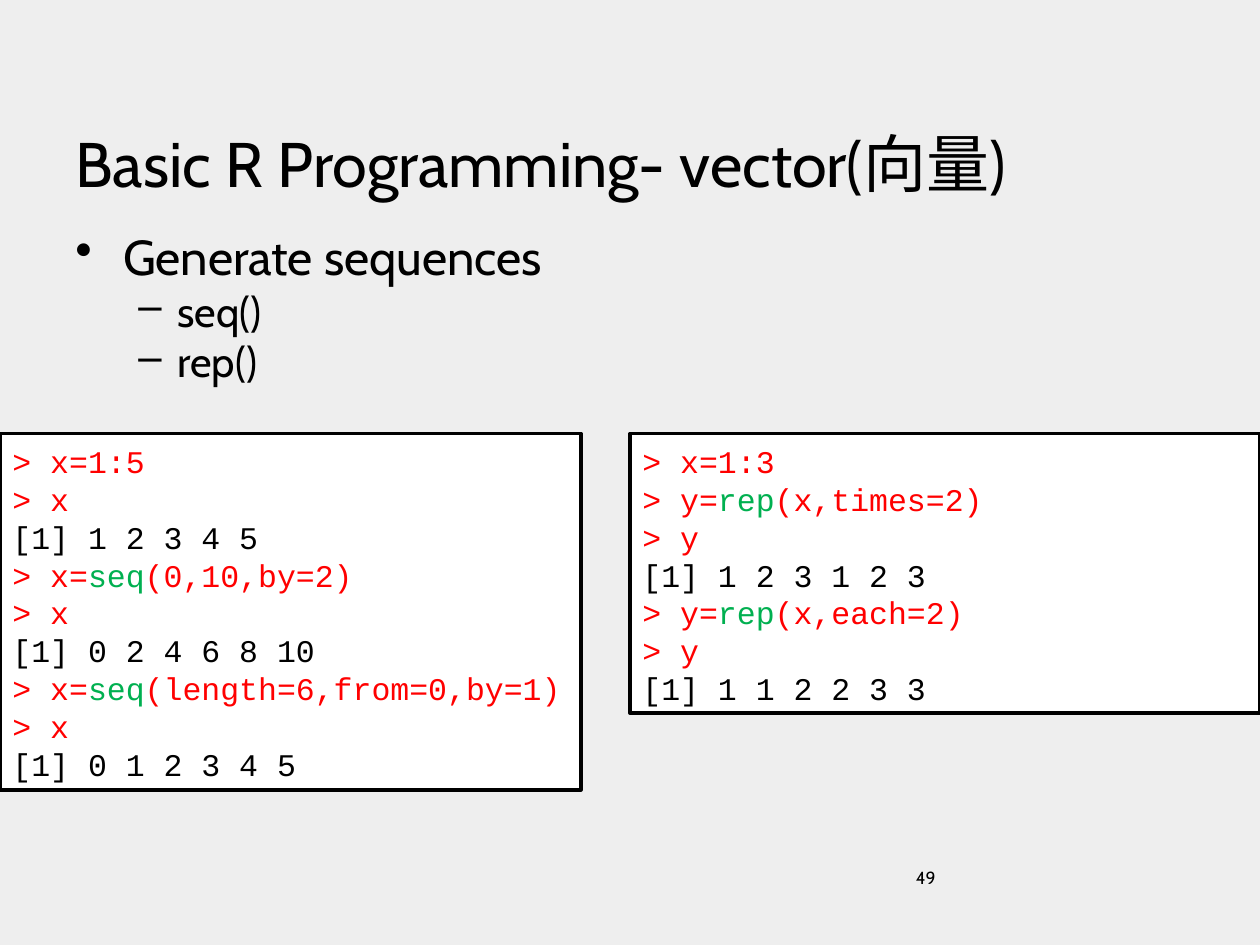
from dataclasses import dataclass

import pptx
import pptx.dml.color
import pptx.enum.shapes
import pptx.enum.text
import pptx.oxml
import pptx.oxml.ns
import pptx.util
from pptx.dml.color import RGBColor
from pptx.util import Inches

BACKGROUND = RGBColor(0xEE, 0xEE, 0xEE)
WHITE = RGBColor(0xFF, 0xFF, 0xFF)
BLACK = RGBColor(0x00, 0x00, 0x00)
COMMAND_RED = RGBColor(0xFF, 0x00, 0x00)
FUNCTION_GREEN = RGBColor(0x00, 0xB0, 0x50)
BODY_FONT = "Cabin"
CODE_FONT = "Courier New"


@dataclass
class Bullet:
    text: str
    size: float
    mark: str
    level: int
    margin: float
    hanging: float


@dataclass
class Console:
    left: float
    width: float
    height: float
    function: str
    lines: list[str]


BULLETS = [
    Bullet("Generate sequences", 28, "•", 0, 0.38, 0.38),
    Bullet("seq()", 24, "–", 1, 0.81, 0.31),
    Bullet("rep()", 24, "–", 1, 0.81, 0.31),
]

CONSOLES = [
    Console(0, 4.61, 2.83, "seq", [
        "> x=1:5",
        "> x",
        "[1] 1 2 3 4 5",
        "> x=seq(0,10,by=2)",
        "> x",
        "[1] 0 2 4 6 8 10",
        "> x=seq(length=6,from=0,by=1)",
        "> x",
        "[1] 0 1 2 3 4 5",
    ]),
    Console(5, 5, 2.22, "rep", [
        "> x=1:3",
        "> y=rep(x,times=2)",
        "> y",
        "[1] 1 2 3 1 2 3",
        "> y=rep(x,each=2)",
        "> y",
        "[1] 1 1 2 2 3 3",
    ]),
]


def add_text(paragraph, text: str, *, size: float, font: str = BODY_FONT,
             color: RGBColor = BLACK) -> None:
    run = paragraph.add_run()
    run.text = text
    run.font.size = pptx.util.Pt(size)
    run.font.name = font
    run.font.color.rgb = color


def add_frame(slide, left: float, top: float, width: float, height: float):
    frame = slide.shapes.add_textbox(
        Inches(left), Inches(top), Inches(width), Inches(height)).text_frame
    frame.word_wrap = True
    return frame


def next_paragraph(frame, index: int):
    return frame.add_paragraph() if index else frame.paragraphs[0]


def add_bullet(paragraph, bullet: Bullet) -> None:
    paragraph.level = bullet.level
    properties = paragraph._p.get_or_add_pPr()
    properties.set("marL", str(Inches(bullet.margin)))
    properties.set("indent", str(-Inches(bullet.hanging)))
    mark = pptx.oxml.parse_xml(
        f'<a:buChar {pptx.oxml.ns.nsdecls("a")} char="{bullet.mark}"/>')
    properties.append(mark)
    add_text(paragraph, bullet.text, size=bullet.size)


def add_console(slide, console: Console) -> None:
    box = slide.shapes.add_shape(
        pptx.enum.shapes.MSO_SHAPE.RECTANGLE, Inches(console.left),
        Inches(3.44), Inches(console.width), Inches(console.height))
    box.shadow.inherit = False
    box.fill.solid()
    box.fill.fore_color.rgb = WHITE
    box.line.color.rgb = BLACK
    box.line.width = pptx.util.Pt(2)

    frame = box.text_frame
    frame.word_wrap = True
    frame.vertical_anchor = pptx.enum.text.MSO_ANCHOR.TOP
    frame.margin_top = Inches(0.07)
    for index, line in enumerate(console.lines):
        paragraph = next_paragraph(frame, index)
        paragraph.alignment = pptx.enum.text.PP_ALIGN.LEFT
        paragraph.line_spacing = pptx.util.Pt(21.6)
        # Commands are red with the function in green, results are black
        color = COMMAND_RED if line.startswith(">") else BLACK
        for part in line.partition(console.function):
            if part:
                add_text(paragraph, part, size=18, font=CODE_FONT,
                         color=FUNCTION_GREEN if part == console.function else color)


def main() -> None:
    presentation = pptx.Presentation()
    presentation.slide_width = Inches(10)
    presentation.slide_height = Inches(7.5)
    slide = presentation.slides.add_slide(presentation.slide_layouts[6])
    slide.background.fill.solid()
    slide.background.fill.fore_color.rgb = BACKGROUND

    # Topic list
    topics = add_frame(slide, 0.5, 1.75, 9, 4.95)
    for index, bullet in enumerate(BULLETS):
        add_bullet(next_paragraph(topics, index), bullet)

    # Title
    title = add_frame(slide, 0.5, 0.39, 9, 1.25)
    title.vertical_anchor = pptx.enum.text.MSO_ANCHOR.BOTTOM
    add_text(title.paragraphs[0], "Basic R Programming- vector(向量)", size=36)

    # Slide number
    number = add_frame(slide, 7.17, 6.83, 2.33, 0.52)
    add_text(number.paragraphs[0], "49", size=10)

    # Console sessions
    for console in CONSOLES:
        add_console(slide, console)

    presentation.save("out.pptx")


if __name__ == "__main__":
    main()
